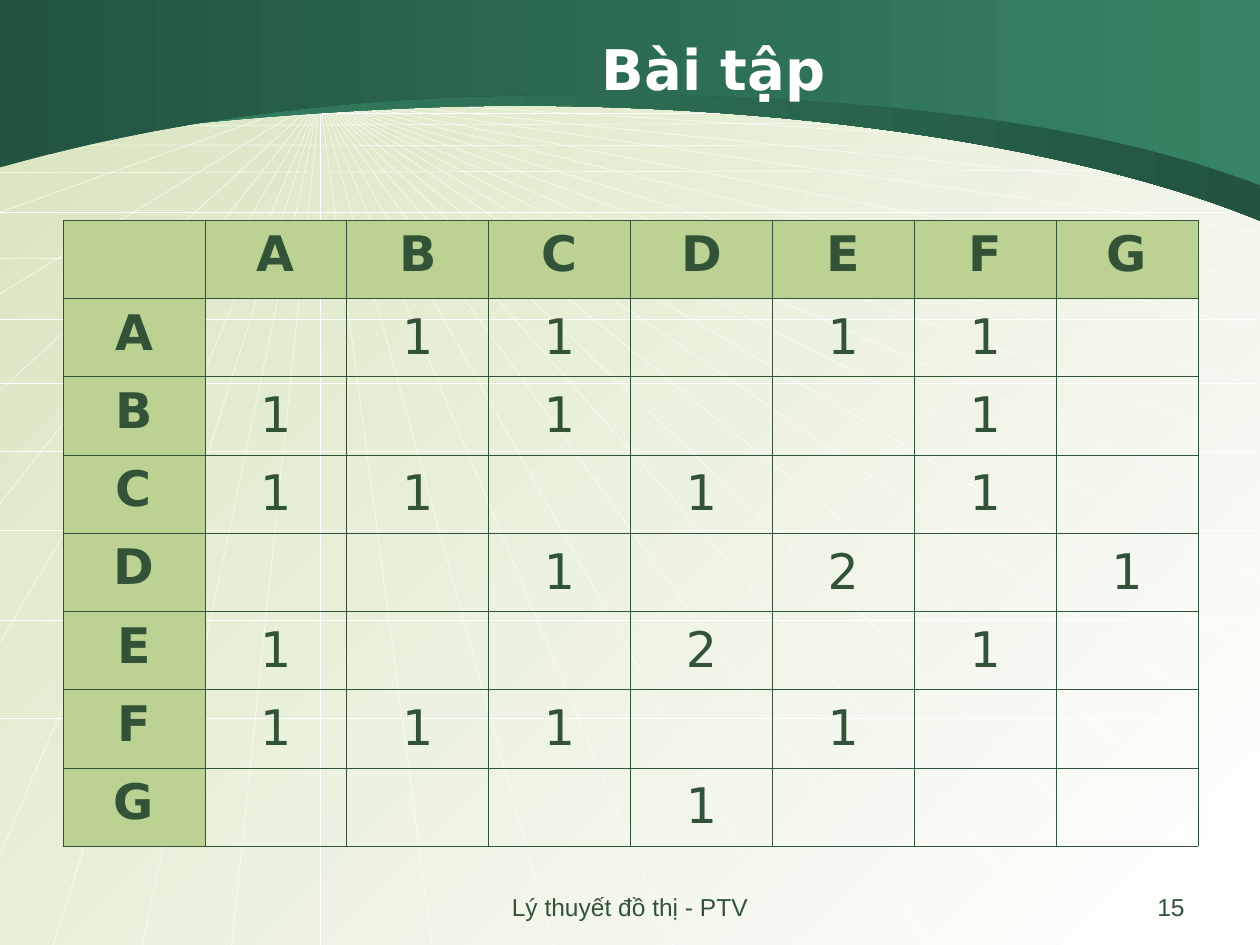
from lxml.etree import SubElement
from pptx import Presentation
from pptx.dml.color import RGBColor
from pptx.enum.shapes import MSO_CONNECTOR
from pptx.enum.text import MSO_ANCHOR, PP_ALIGN
from pptx.oxml.ns import qn
from pptx.util import Cm, Pt

PAGE_WIDTH, PAGE_HEIGHT = 25.4, 19.05
WHITE, INK, HEADER = "FFFFFF", "335338", "BCD292"
DARK_GREEN, MID_GREEN = "22543F", "368463"

APEX = (6.48, 1.98)
LEFT_RAYS = [1.98, 2.46, 2.95, 4.29, 5.94, 7.9, 10.19, 13, 17.3]
BOTTOM_RAYS = [1.1, 2.9, 4.7, 6.48, 8.74, 11.18, 13.59, 16.03, 18.78, 21.52, 24.41]
RIGHT_RAYS = [2.54, 3.12, 3.91, 4.67, 5.64, 6.63, 7.8, 8.97, 10.31, 11.66, 13.21,
              14.96, 17.27]
LEVELS = [(2.13, 2.13), (2.29, 2.29), (2.54, 2.46), (2.92, 2.95), (3.48, 3.43),
          (4.27, 4.27), (5.21, 5.26), (6.43, 6.43), (7.72, 7.72), (9.09, 9.09),
          (10.69, 10.69), (12.5, 12.5), (14.48, 14.48)]

LOWER_WAVE = [(0, 3.02), (0.3, 3), (3.4, 2.36), (8.84, 2.16),
              (14.28, 1.98), (21.14, 2.69), (25.43, 4.45)]
UPPER_WAVE = [(0, 3.38), (0.3, 3.33), (3.86, 2.16), (9.27, 1.96),
              (14.68, 1.75), (21.14, 2.06), (25.43, 3.73)]

VERTICES = "ABCDEFG"
EDGES = {"AB": 1, "AC": 1, "AE": 1, "AF": 1, "BC": 1, "BF": 1,
         "CD": 1, "CF": 1, "DE": 2, "DG": 1, "EF": 1}


def colour(value):
    return RGBColor.from_string(value)


def set_gradient(fill, first, last, angle):
    fill.gradient()
    fill.gradient_angle = angle
    for stop, value, position in zip(fill.gradient_stops, (first, last), (0, 1)):
        stop.color.rgb = colour(value)
        stop.position = position


def add_span(para, text, font, size, value, bold=False):
    span = para.add_run()
    span.text = text
    span.font.name = font
    span.font.size = Pt(size)
    span.font.bold = bold
    span.font.color.rgb = colour(value)


def add_text(page, box, text, font, size, value, align, bold=False,
             anchor=MSO_ANCHOR.TOP):
    frame = page.shapes.add_textbox(*map(Cm, box)).text_frame
    frame.word_wrap = True
    frame.vertical_anchor = anchor
    para = frame.paragraphs[0]
    para.alignment = align
    add_span(para, text, font, size, value, bold)


def add_line(group, start, end):
    line = group.shapes.add_connector(MSO_CONNECTOR.STRAIGHT, *map(Cm, start + end))
    line.line.color.rgb = colour(WHITE)
    line.line.width = Pt(0.25)
    SubElement(line._element.spPr, qn("a:effectLst"))


def add_rays(page, box):
    left, top, width, height = box
    group = page.shapes.add_group_shape()
    apex = (left + APEX[0], top + APEX[1])
    ends = [(left + width, top + y) for y in RIGHT_RAYS]
    ends += [(left + x, top + height) for x in BOTTOM_RAYS]
    ends += [(left, top + y) for y in LEFT_RAYS]
    for end in ends:
        add_line(group, apex, end)
    for start, end in LEVELS:
        add_line(group, (left, top + start), (left + width, top + end))


def bend_segments(shape, count):
    segments = list(shape._element.iter(qn("a:lnTo")))[1:1 + 3 * count]
    for first in range(0, len(segments), 3):
        curve, *others = segments[first:first + 3]
        parent = curve.getparent()
        bend = SubElement(parent, qn("a:cubicBezTo"))
        parent.replace(curve, bend)
        for segment in (curve, *others):
            bend.append(segment[0])
        for segment in others:
            parent.remove(segment)


def add_wave(page, box, controls, first, last):
    left, top, width, height = box
    outline = controls + [(controls[-1][0], 0)]
    builder = page.shapes.build_freeform(Cm(left), Cm(top))
    builder.add_line_segments([(Cm(left + x), Cm(top + y)) for x, y in outline])
    wave = builder.convert_to_shape()
    bend_segments(wave, len(controls) // 3)
    wave.shadow.inherit = False
    wave.line.fill.background()
    set_gradient(wave.fill, first, last, 0)


def add_backdrop(page, box):
    set_gradient(page.background.fill, "D7E4BE", WHITE, 315)
    add_rays(page, box)
    add_wave(page, box, LOWER_WAVE, MID_GREEN, DARK_GREEN)
    add_wave(page, box, UPPER_WAVE, DARK_GREEN, MID_GREEN)


def set_borders(cell):
    properties = cell._tc.get_or_add_tcPr()
    for side in ("a:lnL", "a:lnR", "a:lnT", "a:lnB"):
        border = SubElement(properties, qn(side), w=str(Pt(0.45)))
        fill = SubElement(border, qn("a:solidFill"))
        SubElement(fill, qn("a:srgbClr"), val=INK)


def cell_text(row, column):
    if row == 0 or column == 0:
        return "" if row == column else VERTICES[row + column - 1]
    pair = "".join(sorted(VERTICES[row - 1] + VERTICES[column - 1]))
    return str(EDGES.get(pair, ""))


def add_matrix(page, box):
    left, top, width, height = box
    count = len(VERTICES) + 1
    table = page.shapes.add_table(count, count, *map(Cm, box)).table
    table.first_row = False
    table.horz_banding = False
    for row in range(count):
        table.columns[row].width = Cm(width / count)
        table.rows[row].height = Cm(height / count)
        for column in range(count):
            cell = table.cell(row, column)
            is_header = row == 0 or column == 0
            set_borders(cell)
            if is_header:
                cell.fill.solid()
                cell.fill.fore_color.rgb = colour(HEADER)
            else:
                cell.fill.background()
                cell.vertical_anchor = MSO_ANCHOR.MIDDLE
            text = cell_text(row, column)
            if text:
                para = cell.text_frame.paragraphs[0]
                para.alignment = PP_ALIGN.CENTER
                add_span(para, text, "DejaVu Sans", 28, INK, is_header)


def add_footer(page, box):
    left, top, width, height = box
    add_text(page, (left + width - 5.92, top, 5.92, height), "15",
             "Arial", 14, INK, PP_ALIGN.RIGHT)
    add_text(page, (left + (width - 8.05) / 2, top, 8.05, height),
             "Lý thuyết đồ thị - PTV", "Arial", 14, INK, PP_ALIGN.CENTER)


def main():
    deck = Presentation()
    deck.slide_width, deck.slide_height = Cm(PAGE_WIDTH), Cm(PAGE_HEIGHT)
    page = deck.slides.add_slide(deck.slide_layouts[6])
    add_backdrop(page, (-0.03, 0, PAGE_WIDTH, PAGE_HEIGHT))
    add_text(page, (4.13, 0.58, 20.52, 1.57), "Bài tập", "DejaVu Sans", 32, WHITE,
             PP_ALIGN.CENTER, True, MSO_ANCHOR.MIDDLE)
    add_matrix(page, (1.27, 4.44, 22.88, 12.62))
    add_footer(page, (1.27, 17.86, 22.86, 0.89))
    deck.save("out.pptx")


if __name__ == "__main__":
    main()
